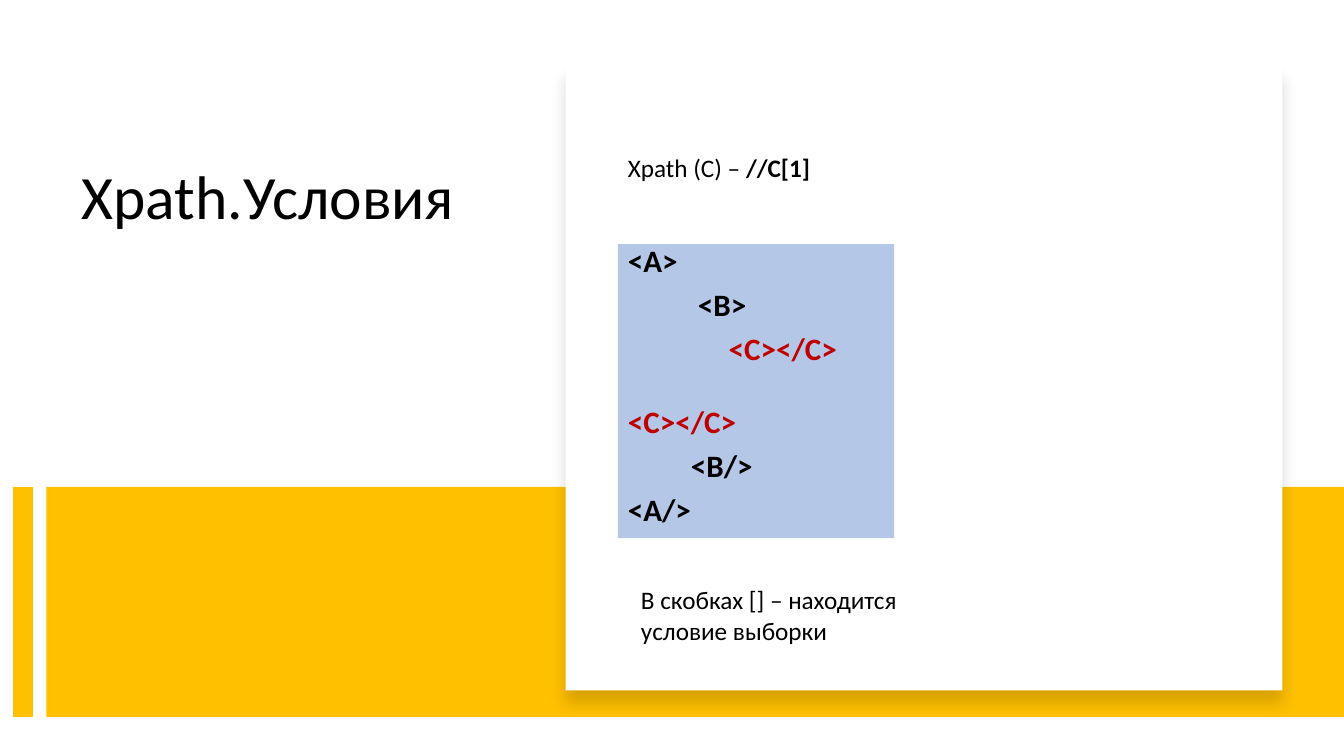
import pptx
import pptx.util
import pptx.dml.color
import pptx.enum.shapes
import pptx.enum.text
import pptx.oxml
import pptx.oxml.ns

Pt = pptx.util.Pt
BLACK, WHITE, AMBER, PALE_BLUE, RED = "000000", "FFFFFF", "FFC000", "B4C7E7", "C00000"
DRAWING_NS = pptx.oxml.ns.nsdecls("a")


def color(hex_value):
    return pptx.dml.color.RGBColor.from_string(hex_value)


def apply(target, values):
    for name, value in values.items():
        setattr(target, name, value)


def add_panel(slide, box, fill):
    panel = slide.shapes.add_shape(
        pptx.enum.shapes.MSO_SHAPE.RECTANGLE, *map(Pt, box))
    panel.shadow.inherit = False
    panel.fill.solid()
    panel.fill.fore_color.rgb = color(fill)
    panel.line.fill.background()
    return panel


def write(frame, lines, size, **paragraph_format):
    """Each line is (runs, left indent, space before); a run is (text, bold, colour)."""
    apply(frame, {"word_wrap": True,
                  "vertical_anchor": pptx.enum.text.MSO_ANCHOR.TOP})
    for index, (runs, indent, before) in enumerate(lines):
        paragraph = frame.add_paragraph() if index else frame.paragraphs[0]
        apply(paragraph, {"alignment": pptx.enum.text.PP_ALIGN.LEFT,
                          "space_before": Pt(before), **paragraph_format})
        paragraph._p.get_or_add_pPr().set("marL", str(Pt(indent)))
        for text, bold, ink in runs:
            run = paragraph.add_run()
            run.text = text
            apply(run.font, {"name": "Calibri", "size": Pt(size), "bold": bold})
            run.font.color.rgb = color(ink)


def add_text(slide, box, runs, size, **paragraph_format):
    frame = slide.shapes.add_textbox(*map(Pt, box)).text_frame
    write(frame, [(runs, 0, 0)], size, **paragraph_format)


def draw_band(slide, box):
    left, top, width, height = box
    # Wide band, then the narrow stripe to its left
    add_panel(slide, (left + 16.6, top, width - 16.6, height), AMBER)
    stripe = slide.shapes.add_connector(
        pptx.enum.shapes.MSO_CONNECTOR.STRAIGHT,
        Pt(left), Pt(top), Pt(left), Pt(top + height))
    stripe.line.color.rgb = color(AMBER)
    stripe.line.width = Pt(14)
    stripe._element.spPr.append(
        pptx.oxml.parse_xml(f"<a:effectLst {DRAWING_NS}/>"))


def draw_card(slide, box):
    left, top, width, height = box
    card = add_panel(slide, box, WHITE)

    # Soft shadow below the card
    effects = card._element.spPr.find(pptx.oxml.ns.qn("a:effectLst"))
    effects.append(pptx.oxml.parse_xml(
        f'<a:outerShdw {DRAWING_NS} blurRad="{Pt(11)}" dist="{Pt(10)}" '
        'dir="5400000" algn="t" rotWithShape="0"><a:srgbClr val="000000">'
        '<a:alpha val="15000"/></a:srgbClr></a:outerShdw>'))

    # Markup sample
    sample = add_panel(slide, (left + 37.4, top + 128.2, 197.2, 210.2), PALE_BLUE)
    markup = [("<A>", 0, 10, BLACK), ("<B>", 50, 10, BLACK),
              ("<C></C>", 72, 10, RED), ("<C></C>", 0, 31, RED),
              ("<B/>", 45, 10, BLACK), ("<A/>", 0, 10, BLACK)]
    write(sample.text_frame,
          [([(tag, True, ink)], indent, before) for tag, indent, before, ink in markup],
          22.2, line_spacing=0.8)

    # Expression above, explanation below
    add_text(slide, (left + 37.4, top + 59, 226.8, 28.8),
             [("Xpath (C) – ", False, BLACK), ("//C[1]", True, BLACK)], 18)
    add_text(slide, (left + 46.8, top + 367.9, 242.6, 51.1),
             [("В скобках [] – находится условие выборки", False, BLACK)], 18)


deck = pptx.Presentation()
apply(deck, {"slide_width": Pt(960), "slide_height": Pt(540)})
slide = deck.slides.add_slide(deck.slide_layouts[6])

add_text(slide, (51.1, 115.2, 324.7, 211.7),
         [("Xpath.Условия", False, BLACK)], 44, line_spacing=0.9)
draw_band(slide, (16.5, 347.8, 943.5, 164.2))
draw_card(slide, (404, 46.1, 512, 447.1))

deck.save("out.pptx")
